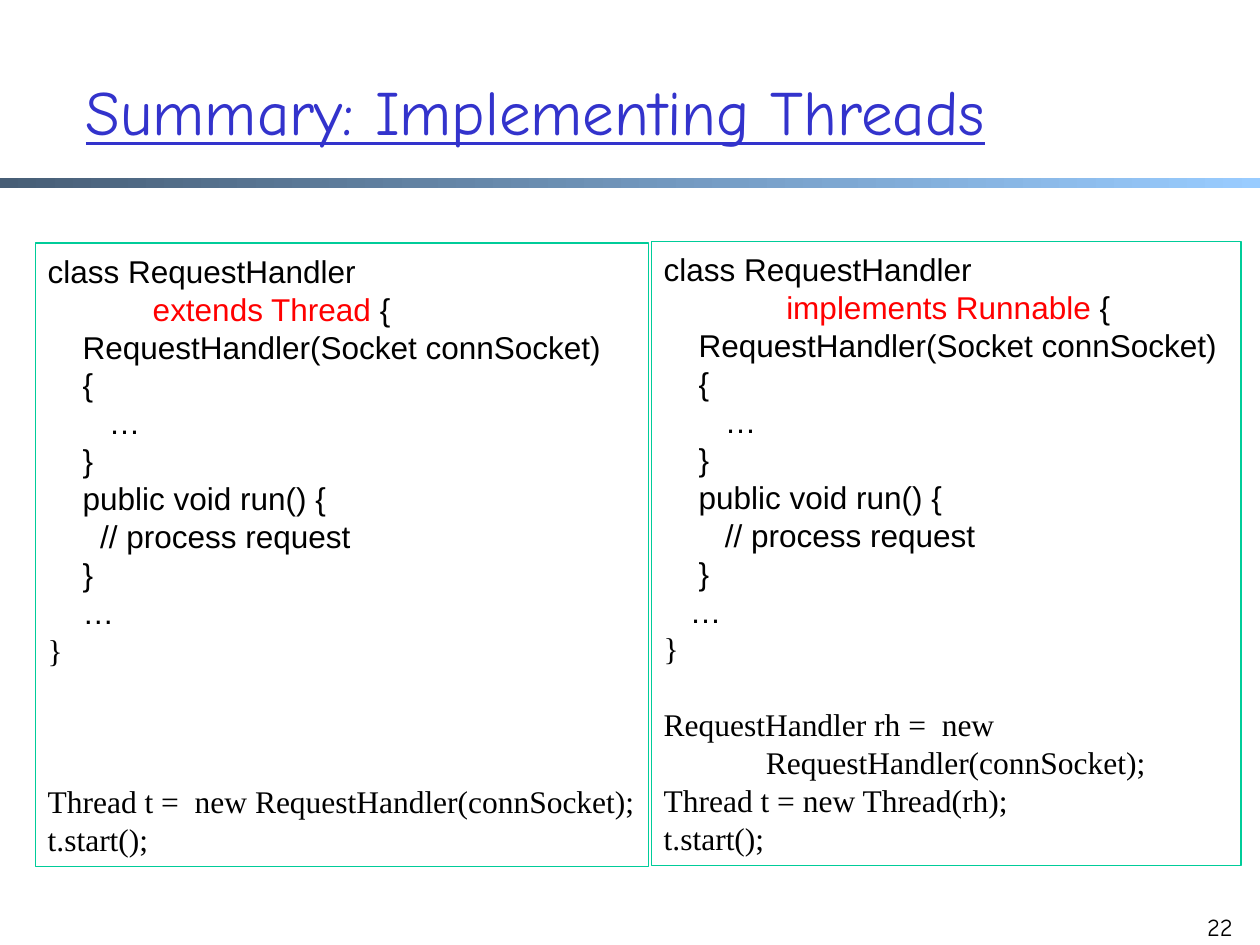
"""Build the slide that compares two ways of implementing threads."""
from pptx import Presentation
from pptx.dml.color import RGBColor
from pptx.enum.shapes import MSO_SHAPE
from pptx.enum.text import MSO_ANCHOR, PP_ALIGN
from pptx.util import Pt

BLACK = RGBColor(0x00, 0x00, 0x00)
RED = RGBColor(0xFF, 0x00, 0x00)
BLUE = RGBColor(0x33, 0x33, 0xCC)
GREEN = RGBColor(0x00, 0xCC, 0x99)
BAR_DARK = RGBColor(0x47, 0x5E, 0x76)
BAR_LIGHT = RGBColor(0x99, 0xCC, 0xFF)
PITCH = 21.65

prs = Presentation()
prs.slide_width, prs.slide_height = Pt(720), Pt(540)
s = prs.slides.add_slide(prs.slide_layouts[6])


def add_label(text, left, top, width, height, size, color):
    tf = s.shapes.add_textbox(Pt(left), Pt(top), Pt(width), Pt(height)).text_frame
    tf.word_wrap = True
    tf.text = text
    p = tf.paragraphs[0]
    p.font.name, p.font.size = "Comic Neue", Pt(size)
    p.font.color.rgb = color
    return tf


bar = s.shapes.add_shape(MSO_SHAPE.RECTANGLE, Pt(0), Pt(101.5), Pt(720), Pt(6))
bar.shadow.inherit = False
bar.line.fill.background()
bar.fill.gradient()
bar.fill.gradient_angle = 0
for stop, color, pos in zip(bar.fill.gradient_stops, (BAR_DARK, BAR_LIGHT), (0, 1)):
    stop.color.rgb = color
    stop.position = pos

tf = add_label("Summary: Implementing Threads", 42, 18, 612, 90, 36, BLUE)
tf.vertical_anchor = MSO_ANCHOR.MIDDLE
tf.paragraphs[0].font.underline = True

tf = add_label("22", 675.5, 517.5, 36, 36, 14, BLACK)
tf.paragraphs[0].alignment = PP_ALIGN.RIGHT

EXTENDS = """class RequestHandler
            |extends Thread| {
    RequestHandler(Socket connSocket)
    {
       …
    }
    public void run() {
      // process request
    }
    …
}"""
IMPLEMENTS = """class RequestHandler
             | implements Runnable |{
    RequestHandler(Socket connSocket)
    {
       …
    }
    public void run() {
       // process request
    }
   …
}"""
EXTENDS_USE = """Thread t =  new RequestHandler(connSocket);
t.start();"""
IMPLEMENTS_USE = """RequestHandler rh =  new
             RequestHandler(connSocket);
Thread t = new Thread(rh);
t.start();"""

panels = [
    (20.2, 138.8, 350.6, EXTENDS, EXTENDS_USE, 3),
    (372.2, 138.1, 337, IMPLEMENTS, IMPLEMENTS_USE, 1),
]
for left, top, width, code, use, gap in panels:
    sp = s.shapes.add_shape(MSO_SHAPE.RECTANGLE, Pt(left), Pt(top), Pt(width), Pt(356.4))
    sp.shadow.inherit = False
    sp.fill.background()
    sp.line.color.rgb = GREEN
    sp.line.width = Pt(0.75)
    tf = sp.text_frame
    tf.word_wrap = True
    tf.margin_right = 0
    tf.vertical_anchor = MSO_ANCHOR.MIDDLE
    class_lines = code.split("\n")
    for i, line in enumerate(class_lines + use.split("\n")):
        p = tf.paragraphs[0] if i == 0 else tf.add_paragraph()
        p.alignment = PP_ALIGN.LEFT
        p.line_spacing = Pt(PITCH)
        if i == len(class_lines):
            p.space_before = Pt(gap * PITCH)
        for j, part in enumerate(line.split("|")):
            r = p.add_run()
            r.text = part
            r.font.size = Pt(18)
            r.font.name = "Arial" if i < len(class_lines) - 1 else "Times New Roman"
            r.font.color.rgb = RED if j == 1 else BLACK

prs.save("out.pptx")
